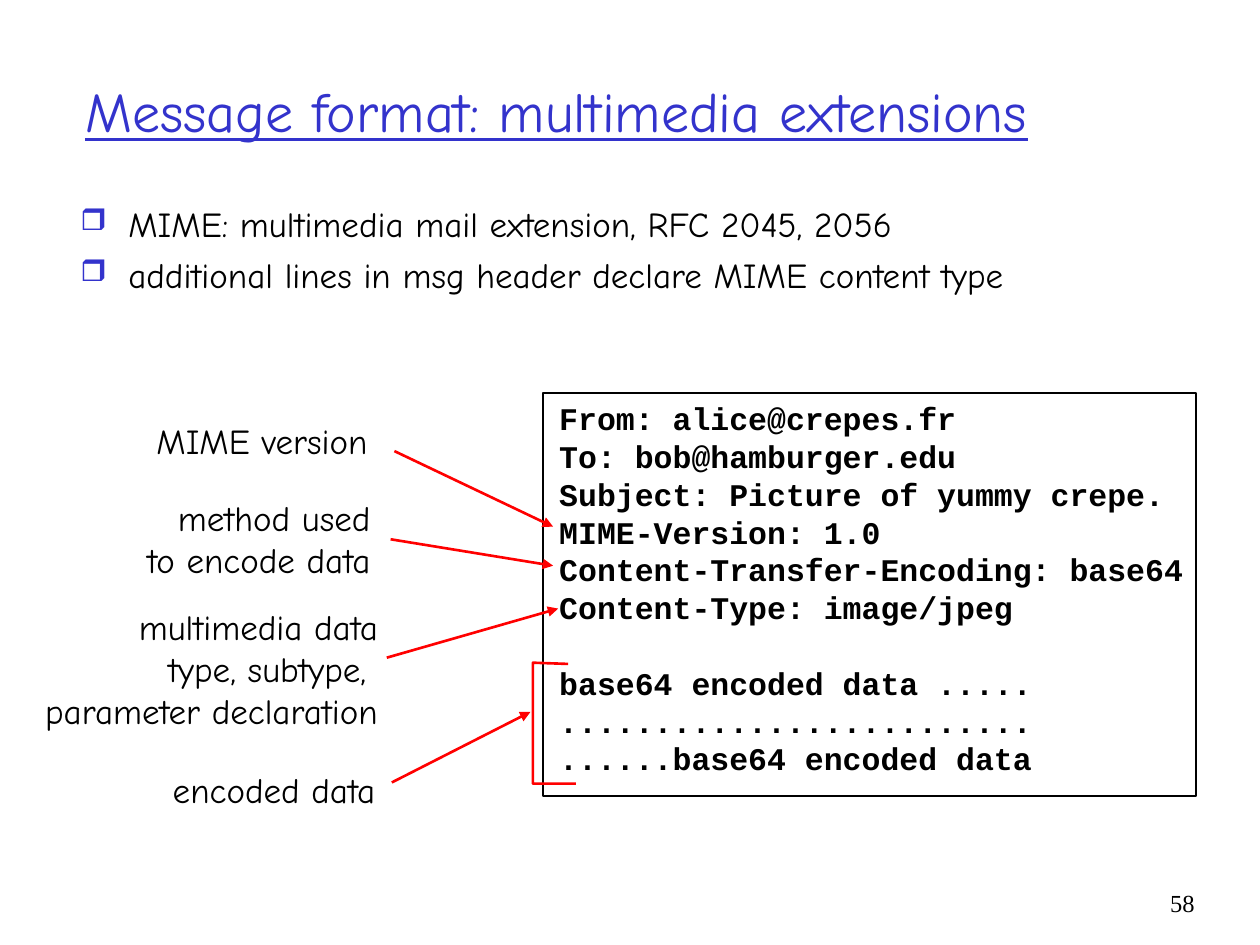
from lxml import etree
from pptx import Presentation
from pptx.dml.color import RGBColor
from pptx.enum.shapes import MSO_CONNECTOR as CONN, MSO_SHAPE as SHAPE
from pptx.enum.text import MSO_ANCHOR as ANCHOR, PP_ALIGN as ALIGN
from pptx.oxml.ns import qn
from pptx.util import Inches, Pt

COLORS = {"heading": "3333CC", "text": "000000", "pointer": "FF0000"}

HEADING = {"name": "Comic Neue", "size": Pt(32), "underline": True}
BODY = {"name": "Comic Neue", "size": Pt(20)}
CODE = {"name": "Courier New", "size": Pt(18), "bold": True}
NUMBER = {"name": "Times New Roman", "size": Pt(14)}

BULLETS = [
    "MIME: multimedia mail extension, RFC 2045, 2056",
    "additional lines in msg header declare MIME content type",
]
HEADER_LINES = [
    "From: alice@crepes.fr",
    "To: bob@hamburger.edu",
    "Subject: Picture of yummy crepe.",
    "MIME-Version: 1.0",
    "Content-Transfer-Encoding: base64",
    "Content-Type: image/jpeg",
]
DATA_LINES = [
    "base64 encoded data .....",
    ".........................",
    "......base64 encoded data",
]
# box, lines, alignment, arrow start, arrow end
LABELS = [
    ((1.14, 3.28, 1.88, 0.44), ["MIME version"], ALIGN.CENTER,
     (3.13, 3.58), (4.39, 4.18)),
    ((1.05, 3.89, 1.99, 0.77), ["method used", "to encode data"], ALIGN.RIGHT,
     (3.1, 4.28), (4.39, 4.49)),
    ((0.24, 4.76, 2.86, 1.1),
     ["multimedia data", "type, subtype, ", "parameter declaration"], ALIGN.RIGHT,
     (3.07, 5.22), (4.43, 4.83)),
    ((1.27, 6.05, 1.81, 0.44), ["encoded data"], ALIGN.CENTER,
     (3.11, 6.21), (4.21, 5.65)),
]
BRACKET = [(4.51, 5.27), (4.23, 5.26), (4.23, 6.22), (4.57, 6.22)]


def rgb(name):
    return RGBColor.from_string(COLORS[name])


def add_text(s, box, lines, font, color="text", align=ALIGN.LEFT,
             anchor=ANCHOR.TOP, wrap=True):
    """Add a text box with one paragraph per line and return its paragraphs."""
    tf = s.shapes.add_textbox(*map(Inches, box)).text_frame
    tf.word_wrap = wrap
    tf.vertical_anchor = anchor
    tf.text = "\n".join(lines)
    for p in tf.paragraphs:
        p.alignment = align
        r = p.runs[0]
        for key, value in font.items():
            setattr(r.font, key, value)
        r.font.color.rgb = rgb(color)
    return tf.paragraphs


def add_bullet(p):
    pPr = p._p.get_or_add_pPr()
    pPr.set("marL", str(Inches(0.38)))
    pPr.set("indent", str(-Inches(0.38)))
    color = etree.SubElement(pPr, qn("a:buClr"))
    etree.SubElement(color, qn("a:srgbClr"), val=COLORS["heading"])
    etree.SubElement(pPr, qn("a:buSzPct"), val="85000")
    etree.SubElement(pPr, qn("a:buChar"), char="❒")


def set_line(shape, color, width):
    shape.line.color.rgb = rgb(color)
    shape.line.width = Pt(width)


def add_arrow(s, start, end):
    arrow = s.shapes.add_connector(CONN.STRAIGHT, *map(Inches, start + end))
    set_line(arrow, "pointer", 1.5)
    spPr = arrow._element.spPr
    etree.SubElement(spPr.find(qn("a:ln")), qn("a:tailEnd"), type="triangle")
    etree.SubElement(spPr, qn("a:effectLst"))


def add_frame(s, box):
    frame = s.shapes.add_shape(SHAPE.RECTANGLE, *map(Inches, box))
    frame.shadow.inherit = False
    frame.fill.background()
    set_line(frame, "text", 1)


def add_bracket(s, points):
    first, *rest = [(Inches(x), Inches(y)) for x, y in points]
    builder = s.shapes.build_freeform(*first)
    builder.add_line_segments(rest, close=False)
    bracket = builder.convert_to_shape()
    bracket.shadow.inherit = False
    bracket.fill.background()
    set_line(bracket, "pointer", 1.5)


def main():
    prs = Presentation()
    prs.slide_width, prs.slide_height = Inches(10), Inches(7.5)
    s = prs.slides.add_slide(prs.slide_layouts[6])

    add_text(s, (0.58, 0.25, 9.17, 1.25), ["Message format: multimedia extensions"],
             HEADING, "heading", anchor=ANCHOR.MIDDLE)
    bullets = add_text(s, (0.54, 1.56, 8.01, 5.03), BULLETS, BODY)
    for p in bullets:
        add_bullet(p)
    bullets[1].space_before = Pt(5)

    message = add_text(s, (4.34, 3.12, 5.44, 3.4), HEADER_LINES + DATA_LINES, CODE)
    message[len(HEADER_LINES)].space_before = Pt(21.6)
    add_frame(s, (4.31, 3.12, 5.18, 3.2))

    for box, lines, align, start, end in LABELS:
        add_text(s, box, lines, BODY, align=align, wrap=False)
        add_arrow(s, start, end)
    add_bracket(s, BRACKET)

    add_text(s, (9.08, 7, 0.5, 0.5), ["58"], NUMBER, align=ALIGN.RIGHT)
    prs.save("out.pptx")


if __name__ == "__main__":
    main()
